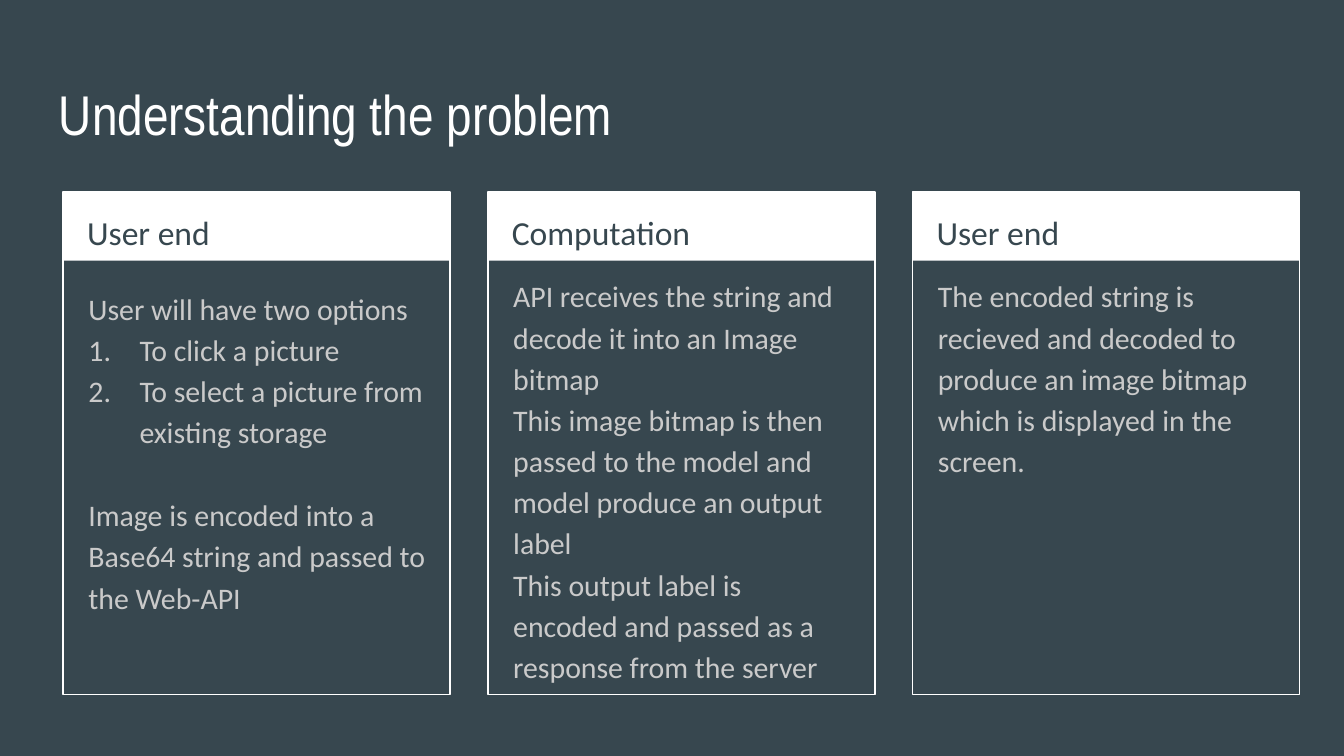
import pptx
import pptx.dml.color
import pptx.enum.shapes
import pptx.enum.text
import pptx.oxml
import pptx.util

SLATE, WHITE, GREY = "37474F", "FFFFFF", "CACACA"
SLIDE_WIDTH = 10
SLIDE_HEIGHT = SLIDE_WIDTH * 9 / 16
LEFT, TOP, PITCH = 0.47, 1.43, 3.16
PANEL_WIDTH, PANEL_HEIGHT, HEADER_HEIGHT = 2.88, 3.74, 0.51
OPTION_INDENT = 0.38

PANELS = [
    ("User end", 2.02, [
        ("User will have two options", {}),
        ("To click a picture", {"numbered": True}),
        ("To select a picture from existing storage", {"numbered": True}),
        ("Image is encoded into a Base64 string and passed to the Web-API",
         {"space_before": 22.5}),
    ]),
    ("Computation", 1.93, [
        ("API receives the string and decode it into an Image bitmap", {}),
        ("This image bitmap is then passed to the model and model produce "
         "an output label", {}),
        ("This output label is encoded and passed as a response from the "
         "server", {}),
    ]),
    ("User end", 1.93, [
        ("The encoded string is recieved and decoded to produce an image "
         "bitmap which is displayed in the screen.", {}),
    ]),
]


def inches(*lengths):
    """Convert lengths in inches to slide units."""
    return [pptx.util.Inches(length) for length in lengths]


def paint(color_format, color):
    """Set a colour from a hex string."""
    color_format.rgb = pptx.dml.color.RGBColor.from_string(color)


def number(paragraph):
    """Turn a paragraph into a numbered list item with a hanging indent."""
    properties = paragraph._p.get_or_add_pPr()
    indent = pptx.util.Inches(OPTION_INDENT)
    properties.set("marL", str(indent))
    properties.set("indent", str(-indent))
    numbering = pptx.oxml.parse_xml(
        '<a:buAutoNum xmlns:a="http://schemas.openxmlformats.org/'
        'drawingml/2006/main" type="arabicPeriod"/>')
    properties.append(numbering)


def add_text(slide, box, paragraphs, size, color, font="Calibri", spacing=1.15):
    """Add a wrapped, top-anchored text box of (text, options) paragraphs."""
    frame = slide.shapes.add_textbox(*inches(*box)).text_frame
    frame.word_wrap = True
    frame.vertical_anchor = pptx.enum.text.MSO_ANCHOR.TOP
    frame.margin_left, frame.margin_top, frame.margin_right, \
        frame.margin_bottom = inches(0.1, 0.1, 0.1, 0.1)
    frame.text = "\n".join(text for text, _ in paragraphs)
    for paragraph, (_, options) in zip(frame.paragraphs, paragraphs):
        paragraph.line_spacing = spacing
        paragraph.space_before = pptx.util.Pt(options.get("space_before", 0))
        if options.get("numbered"):
            number(paragraph)
        for run in paragraph.runs:
            run.font.size = pptx.util.Pt(size)
            run.font.name = font
            paint(run.font.color, color)


def add_rectangle(group, box, fill=None, line=None):
    """Add a rectangle to a group with an optional fill and outline."""
    rectangle = group.shapes.add_shape(
        pptx.enum.shapes.MSO_SHAPE.RECTANGLE, *inches(*box))
    rectangle.shadow.inherit = False
    if fill:
        rectangle.fill.solid()
        paint(rectangle.fill.fore_color, fill)
    else:
        rectangle.fill.background()
    if line:
        paint(rectangle.line.color, line)
        rectangle.line.width = pptx.util.Pt(0.75)
    else:
        rectangle.line.fill.background()


def add_panel(slide, column, heading, body_top, paragraphs):
    """Add an outlined panel with a filled heading band and body text."""
    left = LEFT + column * PITCH
    panel = slide.shapes.add_group_shape()
    add_rectangle(panel, (left, TOP, PANEL_WIDTH, HEADER_HEIGHT), fill=WHITE)
    add_rectangle(panel, (left, TOP, PANEL_WIDTH, PANEL_HEIGHT), line=WHITE)
    add_text(slide, (left + 0.08, TOP, 2.73, 0.5), [(heading, {})], 18, SLATE)
    add_text(slide, (left + 0.09, body_top, 2.71, 3.06), paragraphs, 16, GREY)


def main():
    """Build and save the slide."""
    presentation = pptx.Presentation()
    presentation.slide_width, presentation.slide_height = inches(
        SLIDE_WIDTH, SLIDE_HEIGHT)
    slide = presentation.slides.add_slide(presentation.slide_layouts[6])
    slide.background.fill.solid()
    paint(slide.background.fill.fore_color, SLATE)
    add_text(slide, (0.34, 0.49, 9.32, 0.63),
             [("Understanding the problem", {})], 30, WHITE, "Arial Narrow", 1)
    for column, (heading, body_top, paragraphs) in enumerate(PANELS):
        add_panel(slide, column, heading, body_top, paragraphs)
    presentation.save("out.pptx")


if __name__ == "__main__":
    main()
